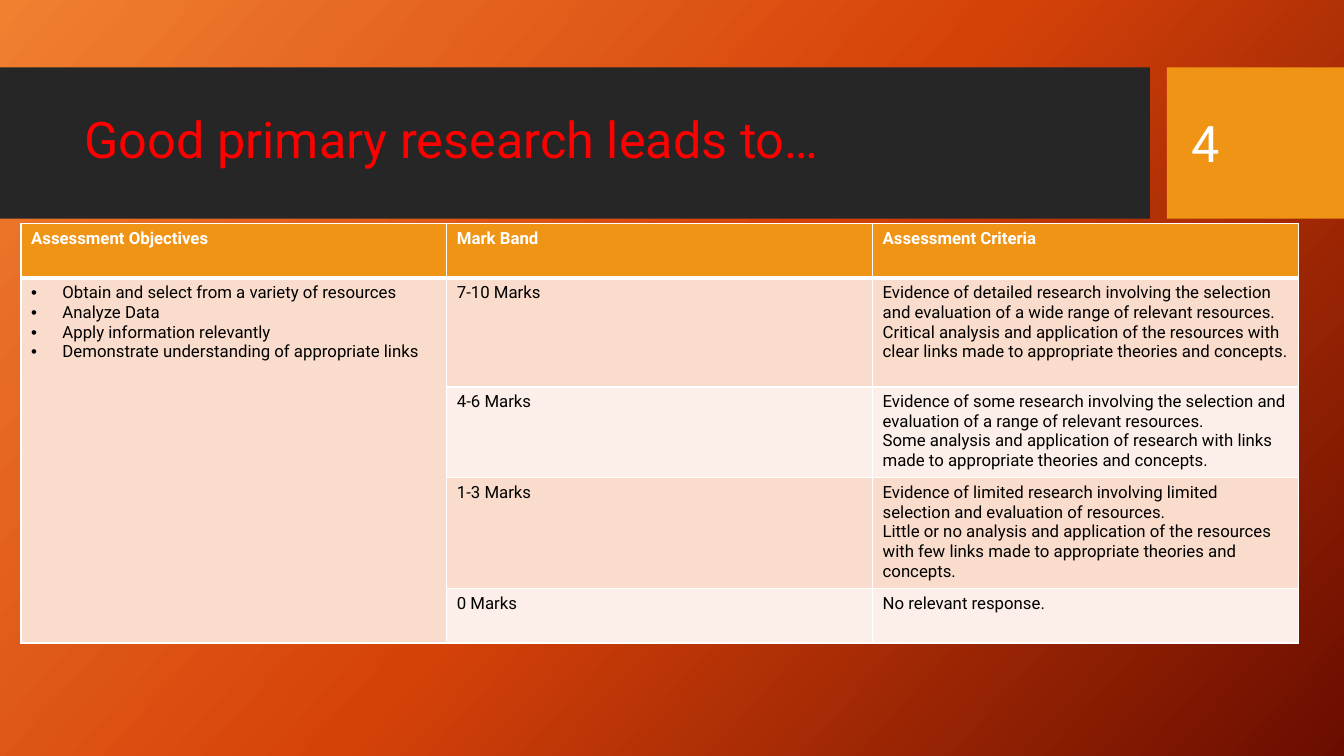
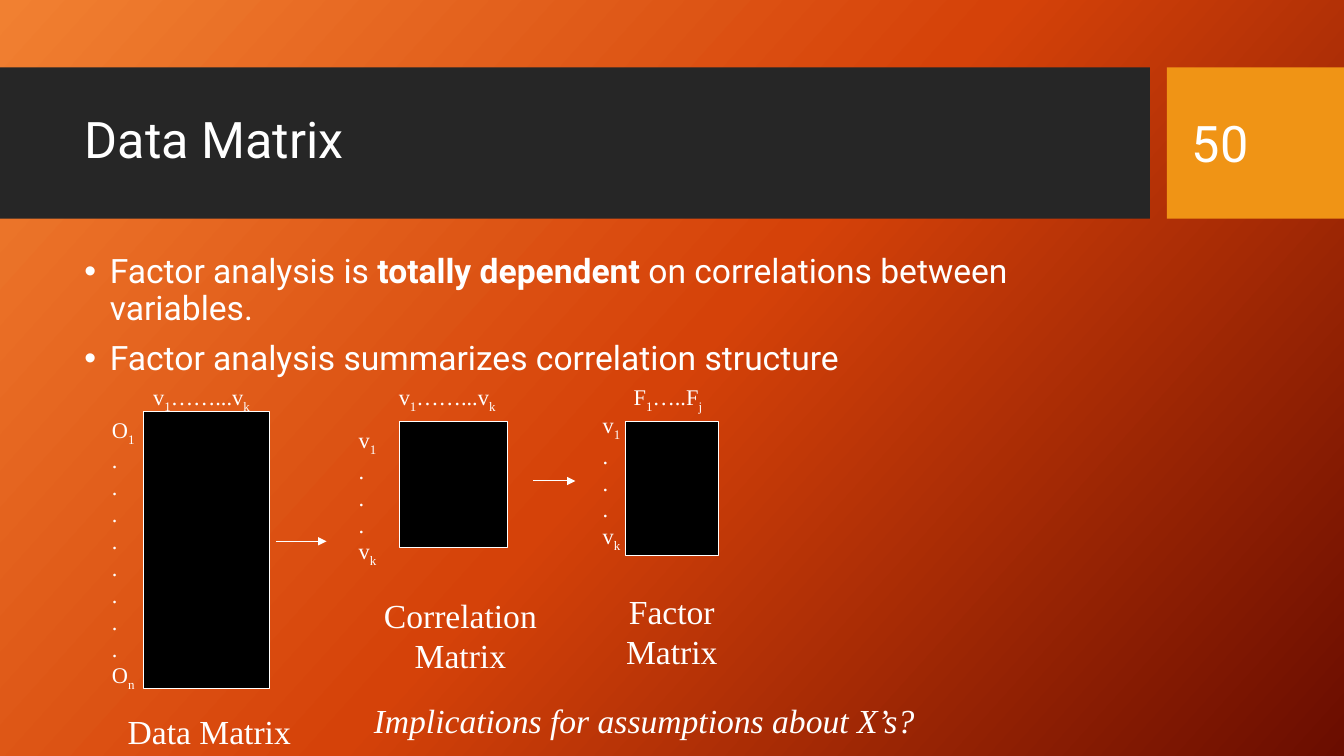
from copy import deepcopy

from lxml import etree
from pptx import Presentation
from pptx.dml.color import RGBColor
from pptx.enum.shapes import MSO_CONNECTOR, MSO_SHAPE
from pptx.enum.text import MSO_ANCHOR, MSO_AUTO_SIZE, PP_ALIGN
from pptx.oxml.ns import qn
from pptx.util import Cm, Pt

RECT = MSO_SHAPE.RECTANGLE
STRAIGHT = MSO_CONNECTOR.STRAIGHT
MIDDLE = MSO_ANCHOR.MIDDLE
FIT_SHAPE = MSO_AUTO_SIZE.SHAPE_TO_FIT_TEXT
LEFT, CENTER = PP_ALIGN.LEFT, PP_ALIGN.CENTER

WHITE = RGBColor(0xFF, 0xFF, 0xFF)
BLACK = RGBColor(0x00, 0x00, 0x00)
RED = RGBColor(0xFF, 0x00, 0x00)
CHARCOAL = RGBColor(0x26, 0x26, 0x26)
ORANGE = RGBColor(0xF0, 0x94, 0x15)
PEACH = RGBColor(0xF9, 0xDC, 0xCC)
PALE_PEACH = RGBColor(0xFC, 0xEE, 0xE8)
BACKGROUND = [
    (0, RGBColor(0xF1, 0x80, 0x31)),
    (0.5, RGBColor(0xD5, 0x42, 0x09)),
    (1, RGBColor(0x6A, 0x0D, 0x00)),
]
SANS = "Roboto"
SERIF = "Times New Roman"


def add_run(p, text, size, color, name=SANS, bold=False, italic=False):
    r = p.add_run()
    r.text = text
    r.font.size = Pt(size)
    r.font.name = name
    r.font.color.rgb = color
    r.font.bold = bold
    r.font.italic = italic
    return r


def add_bullet(p, indent):
    pPr = p._p.get_or_add_pPr()
    pPr.set("marL", str(Cm(indent)))
    pPr.set("indent", str(-Cm(indent)))
    etree.SubElement(pPr, qn("a:buFont")).set("typeface", "Arial")
    etree.SubElement(pPr, qn("a:buChar")).set("char", "•")


prs = Presentation()
prs.slide_width = Cm(33.87)
prs.slide_height = Cm(19.05)
layout = prs.slide_layouts[5]

fill = layout.background.fill
fill.gradient()
fill.gradient_angle = 318
stops = layout.element.find(".//" + qn("a:gsLst"))
stops.append(deepcopy(stops[-1]))
for stop, (position, color) in zip(fill.gradient_stops, BACKGROUND):
    stop.position = position
    stop.color.rgb = color

slides = []
for title, color, number in [
    ("Good primary research leads to…", RED, "4"),
    ("Data Matrix", WHITE, "50"),
]:
    s = prs.slides.add_slide(layout)
    slides.append(s)
    sp = s.shapes.title
    sp.left, sp.top, sp.width, sp.height = Cm(1.88), Cm(2.08), Cm(26.7), Cm(3)
    sp.text_frame.vertical_anchor = MIDDLE
    p = sp.text_frame.paragraphs[0]
    p.alignment = LEFT
    p.line_spacing = 0.9
    add_run(p, title, 36, color)

    sp = s.shapes.add_textbox(Cm(29.79), Cm(2.08), Cm(3.2), Cm(3.02))
    tf = sp.text_frame
    tf.word_wrap = True
    tf.vertical_anchor = MIDDLE
    add_run(tf.paragraphs[0], number, 36, WHITE)

research, matrix = slides

for left, width, color in [(0, 28.98, CHARCOAL), (29.41, 4.46, ORANGE)]:
    band = research.shapes.add_shape(RECT, Cm(left), Cm(1.7), Cm(width), Cm(3.81))
    band.shadow.inherit = False
    band.fill.solid()
    band.fill.fore_color.rgb = color
    band.line.fill.background()
    layout.shapes.element.insert(2, band.element)

OBJECTIVES = [
    "Obtain and select from a variety of resources",
    "Analyze Data",
    "Apply information relevantly",
    "Demonstrate understanding of appropriate links",
]
ROWS = [
    (1.37, [["Assessment Objectives"], ["Mark Band"], ["Assessment Criteria"]]),
    (2.74, [OBJECTIVES, ["7-10 Marks"], [
        "Evidence of detailed research involving the selection and evaluation of a wide range of relevant resources.",
        "Critical analysis and application of the resources with clear links made to appropriate theories and concepts.",
    ]]),
    (2.26, [[], ["4-6 Marks"], [
        "Evidence of some research involving the selection and evaluation of a range of relevant resources.",
        "Some analysis and application of research with links made to appropriate theories and concepts.",
    ]]),
    (2.74, [[], ["1-3 Marks"], [
        "Evidence of limited research involving limited selection and evaluation of resources.",
        "Little or no analysis and application of the resources with few links made to appropriate theories and concepts.",
    ]]),
    (1.37, [[], ["0 Marks"], ["No relevant response."]]),
]
table = research.shapes.add_table(
    len(ROWS), 3, Cm(0.53), Cm(5.64), Cm(32.19), Cm(10.48)
).table
for column in table.columns:
    column.width = Cm(10.73)
table.cell(1, 0).merge(table.cell(4, 0))
for i, (height, cells) in enumerate(ROWS):
    table.rows[i].height = Cm(height)
    header = i == 0
    for j, lines in enumerate(cells):
        cell = table.cell(i, j)
        tcPr = cell._tc.get_or_add_tcPr()
        for side in ("L", "R", "T", "B"):
            thick = (i, side) in [(0, "B"), (1, "T")]
            ln = etree.SubElement(tcPr, qn("a:ln" + side), w=str(Pt(3 if thick else 1)))
            solid = etree.SubElement(ln, qn("a:solidFill"))
            etree.SubElement(solid, qn("a:srgbClr"), val=str(WHITE))
        cell.fill.solid()
        cell.fill.fore_color.rgb = ORANGE if header else PEACH if i % 2 else PALE_PEACH
        for k, line in enumerate(lines):
            tf = cell.text_frame
            p = tf.add_paragraph() if k else tf.paragraphs[0]
            if lines is OBJECTIVES:
                add_bullet(p, 0.79)
            add_run(p, line, 12, WHITE if header else BLACK, bold=header)

sp = matrix.shapes.add_textbox(Cm(1.88), Cm(6.3), Cm(26.7), Cm(10))
tf = sp.text_frame
tf.word_wrap = True
for i, runs in enumerate([
    [("Factor analysis is ", False), ("totally dependent", True),
     (" on correlations between variables.", False)],
    [("Factor analysis summarizes correlation structure", False)],
]):
    p = tf.add_paragraph() if i else tf.paragraphs[0]
    add_bullet(p, 0.64)
    p.line_spacing = 0.9
    if i:
        p.space_before = Pt(10)
    for text, bold in runs:
        add_run(p, text, 24, WHITE, bold=bold)

for left, top, width, height in [
    (3.61, 10.36, 3.18, 6.99),
    (10.06, 10.62, 2.74, 3.18),
    (15.77, 10.62, 2.34, 3.38),
]:
    sp = matrix.shapes.add_shape(RECT, Cm(left), Cm(top), Cm(width), Cm(height))
    sp.shadow.inherit = False
    sp.fill.solid()
    sp.fill.fore_color.rgb = BLACK
    sp.line.color.rgb = WHITE
    sp.line.width = Pt(0.75)

for start, end, y in [(6.96, 8.23, 13.64), (13.44, 14.5, 12.12)]:
    arrow = matrix.shapes.add_connector(STRAIGHT, Cm(start), Cm(y), Cm(end), Cm(y))
    arrow.line.color.rgb = WHITE
    arrow.line.width = Pt(0.75)
    etree.SubElement(arrow.line._get_or_add_ln(), qn("a:tailEnd"), type="triangle")
    etree.SubElement(arrow.element.spPr, qn("a:effectLst"))

VARIABLES = ["v|1|……...v|k"]
OBSERVATION_COLUMN = ["O|1"] + ["."] * 8 + ["O|n"]
VARIABLE_COLUMN = ["v|1"] + ["."] * 3 + ["v|k"]
for left, top, width, height, size, align, italic, lines in [
    (3.61, 9.53, 3.02, 0.94, 16, LEFT, False, VARIABLES),
    (9.8, 9.53, 3.02, 0.94, 16, LEFT, False, VARIABLES),
    (15.72, 9.53, 2.29, 0.94, 16, LEFT, False, ["F|1|…..F|j"]),
    (2.57, 10.36, 1.12, 8.05, 16, LEFT, False, OBSERVATION_COLUMN),
    (8.79, 10.62, 1.19, 3.66, 16, LEFT, False, VARIABLE_COLUMN),
    (14.94, 10.24, 0.99, 4.67, 16, LEFT, False, VARIABLE_COLUMN),
    (2.97, 17.78, 4.62, 1.27, 24, LEFT, False, ["Data Matrix"]),
    (9.42, 14.86, 4.37, 2.29, 24, CENTER, False, ["Correlation", "Matrix"]),
    (15.52, 14.76, 2.82, 2.29, 24, CENTER, False, ["Factor", "Matrix"]),
    (9.17, 17.5, 14.25, 1.27, 24, LEFT, True, ["Implications for assumptions about X’s?"]),
]:
    sp = matrix.shapes.add_textbox(Cm(left), Cm(top), Cm(width), Cm(height))
    tf = sp.text_frame
    tf.word_wrap = False
    tf.auto_size = FIT_SHAPE
    for i, line in enumerate(lines):
        p = tf.add_paragraph() if i else tf.paragraphs[0]
        p.alignment = align
        for j, text in enumerate(line.split("|")):
            r = add_run(p, text, size, WHITE, SERIF, italic=italic)
            if j % 2:
                r._r.get_or_add_rPr().set("baseline", "-25000")

prs.save("out.pptx")
